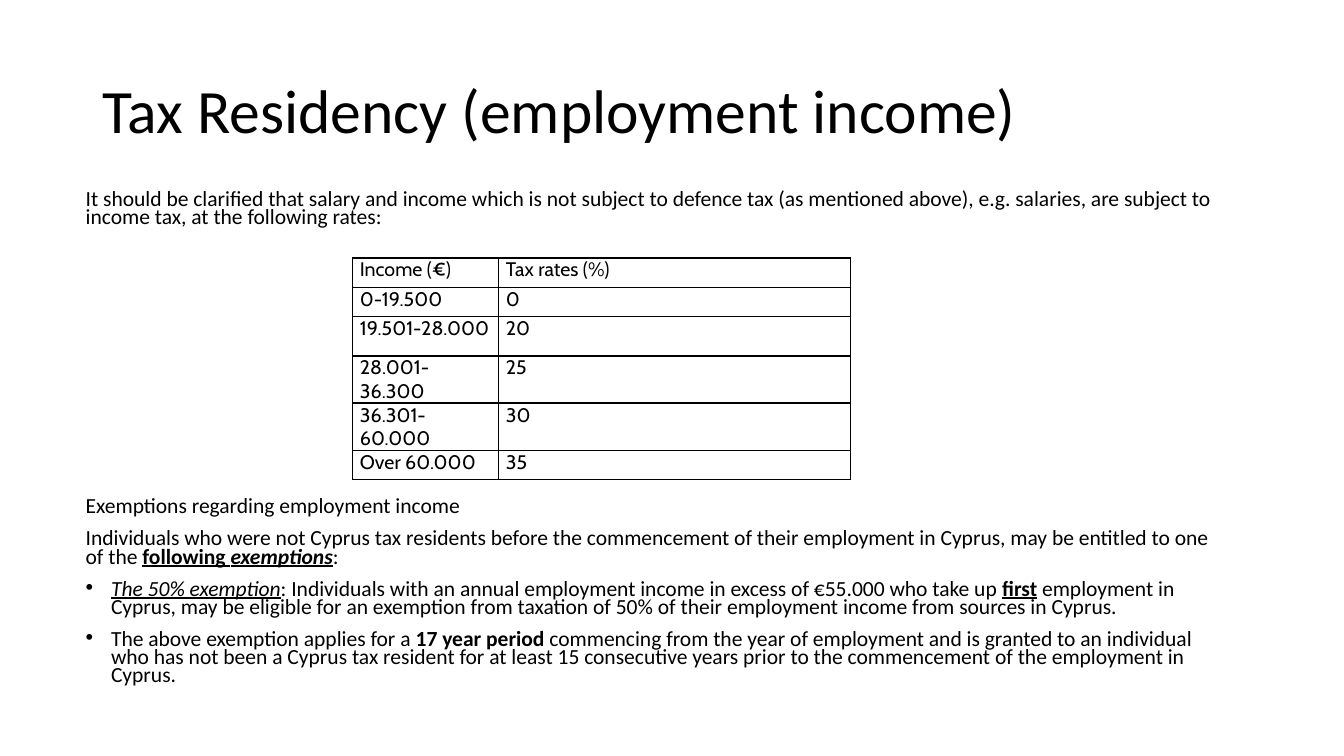
from dataclasses import dataclass

from lxml.etree import SubElement
from pptx import Presentation
from pptx.dml.color import RGBColor
from pptx.enum.text import MSO_ANCHOR
from pptx.oxml.ns import qn
from pptx.util import Cm, Pt


@dataclass(frozen=True)
class Theme:
    ink: RGBColor = RGBColor(0, 0, 0)
    paper: RGBColor = RGBColor(255, 255, 255)
    text_font: str = "Calibri"
    table_font: str = "Cabin"
    title_size: float = 44
    body_size: float = 15.4
    table_size: float = 14
    border_width: float = 1


THEME = Theme()

TITLE = "Tax Residency (employment income)"
INTRO = [
    (False, [("It should be clarified that salary and income which is not subject to defence tax "
              "(as mentioned above), e.g. salaries, are subject to income tax, at the following rates:", "")]),
]
RATES = [
    ("Income (€)", "Tax rates (%)"),
    ("0-19.500", "0"),
    ("19.501-28.000", "20"),
    ("28.001-36.300", "25"),
    ("36.301-60.000", "30"),
    ("Over 60.000", "35"),
]
COLUMN_WIDTHS = (3.68, 8.86)
ROW_HEIGHTS = (0.74, 0.74, 0.99, 0.99, 0.99, 0.74)
EXEMPTIONS = [
    (False, [("Exemptions regarding employment income", "")]),
    (False, [
        ("Individuals who were not Cyprus tax residents before the commencement of their employment "
         "in Cyprus, may be entitled to one of the ", ""),
        ("following ", "bu"),
        ("exemptions", "biu"),
        (":", ""),
    ]),
    (True, [
        ("The 50% exemption", "iu"),
        (": Individuals with an annual employment income in excess of €55.000 who take up ", ""),
        ("first", "bu"),
        (" employment in Cyprus, may be eligible for an exemption from taxation of 50% of their "
         "employment income from sources in Cyprus.", ""),
    ]),
    (True, [
        ("The above exemption applies for a ", ""),
        ("17 year period", "b"),
        (" commencing from the year of employment and is granted to an individual who has not been a "
         "Cyprus tax resident for at least 15 consecutive years prior to the commencement of the "
         "employment in Cyprus.", ""),
    ]),
]


def add_span(para, text, font, size, style=""):
    span = para.add_run()
    span.text = text
    span.font.name = font
    span.font.size = Pt(size)
    span.font.color.rgb = THEME.ink
    span.font.bold = "b" in style
    span.font.italic = "i" in style
    span.font.underline = "u" in style


def add_bullet(para):
    properties = para._p.get_or_add_pPr()
    properties.set("marL", str(Cm(0.64)))
    properties.set("indent", str(-Cm(0.64)))
    SubElement(properties, qn("a:buFont"), typeface="Arial")
    SubElement(properties, qn("a:buChar"), char="•")


def add_title(page, left, top, width, height):
    box = page.shapes.add_textbox(left, top, width, height)
    frame = box.text_frame
    frame.word_wrap = True
    frame.vertical_anchor = MSO_ANCHOR.MIDDLE
    para = frame.paragraphs[0]
    para.line_spacing = 0.9
    add_span(para, TITLE, THEME.text_font, THEME.title_size)


def add_body(page, paragraphs, left, top, width, height):
    box = page.shapes.add_textbox(left, top, width, height)
    frame = box.text_frame
    frame.word_wrap = True
    for index, (bulleted, spans) in enumerate(paragraphs):
        para = frame.add_paragraph() if index else frame.paragraphs[0]
        para.line_spacing = 0.7
        para.space_before = Pt(10 if index else 0)
        if bulleted:
            add_bullet(para)
        for text, style in spans:
            add_span(para, text, THEME.text_font, THEME.body_size, style)


def add_borders(cell):
    properties = cell._tc.get_or_add_tcPr()
    for side in ("lnL", "lnR", "lnT", "lnB"):
        line = SubElement(properties, qn(f"a:{side}"), w=str(Pt(THEME.border_width)))
        fill = SubElement(line, qn("a:solidFill"))
        SubElement(fill, qn("a:srgbClr"), val=str(THEME.ink))


def add_rates_table(page, left, top):
    width, height = Cm(sum(COLUMN_WIDTHS)), Cm(sum(ROW_HEIGHTS))
    table = page.shapes.add_table(len(RATES), len(COLUMN_WIDTHS), left, top, width, height).table
    table.first_row = False
    table.horz_banding = False
    for column, column_width in zip(table.columns, COLUMN_WIDTHS):
        column.width = Cm(column_width)
    for row, row_height, values in zip(table.rows, ROW_HEIGHTS, RATES):
        row.height = Cm(row_height)
        for cell, value in zip(row.cells, values):
            cell.margin_left = cell.margin_right = Cm(0.18)
            cell.margin_top = cell.margin_bottom = 0
            add_borders(cell)
            cell.fill.solid()
            cell.fill.fore_color.rgb = THEME.paper
            add_span(cell.text_frame.paragraphs[0], value, THEME.table_font, THEME.table_size)


def main():
    deck = Presentation()
    deck.slide_width, deck.slide_height = Cm(33.87), Cm(19.05)
    page = deck.slides.add_slide(deck.slide_layouts[6])
    add_title(page, Cm(2.34), Cm(1.02), Cm(29.2), Cm(3.68))
    add_body(page, INTRO, Cm(1.91), Cm(4.72), Cm(29.2), Cm(1.5))
    add_rates_table(page, Cm(8.89), Cm(6.5))
    add_body(page, EXEMPTIONS, Cm(1.91), Cm(12.46), Cm(29.2), Cm(5.85))
    deck.save("out.pptx")


if __name__ == "__main__":
    main()
